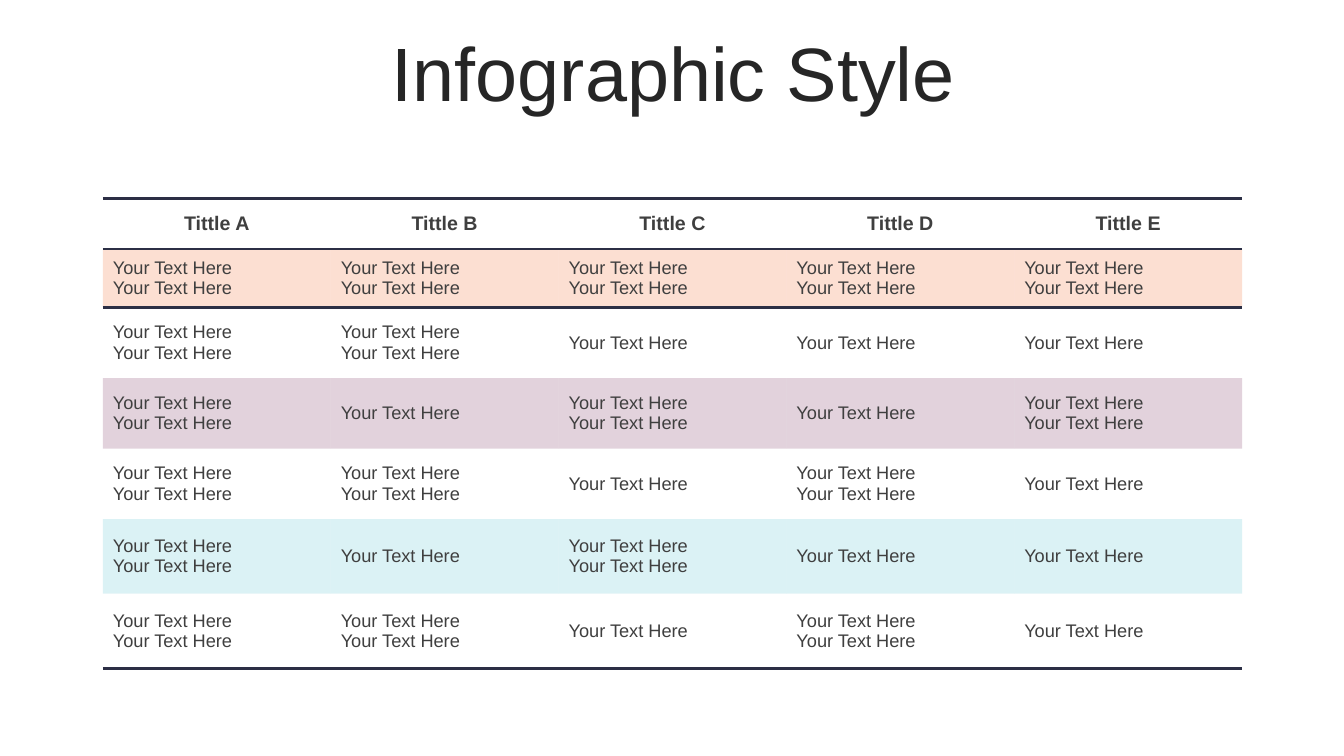
from lxml.etree import SubElement
from pptx import Presentation
from pptx.dml.color import RGBColor
from pptx.enum.text import MSO_ANCHOR, MSO_AUTO_SIZE, PP_ALIGN
from pptx.oxml import parse_xml
from pptx.oxml.ns import nsdecls, qn
from pptx.util import Inches, Pt

FONT = "Arial"
INK, TEXT, RULE = "262626", "3F3F3F", "2C2F45"
HEADERS = [f"Tittle {letter}" for letter in "ABCDE"]
ENTRY = "Your Text Here"
# Each body row: height, tint, number of lines in each cell
BODY = [
    (0.58, "F26122", (2, 2, 2, 2, 2)),
    (0.7, None, (2, 2, 1, 1, 1)),
    (0.7, "6F1F51", (2, 1, 2, 1, 2)),
    (0.7, None, (2, 2, 1, 2, 1)),
    (0.74, "4FC1CF", (2, 1, 2, 1, 1)),
    (0.74, "FFFFFF", (2, 2, 1, 2, 1)),
]
HEADER_HEIGHT, COLUMN_WIDTH = 0.5, 2.26
RULED_EDGES = {0, 1, 2, len(BODY) + 1}


def rgb(color):
    return RGBColor.from_string(color)


def format_paragraph(p, size, color, align, bold=False):
    p.alignment = align
    p.font.name, p.font.size, p.font.bold = FONT, Pt(size), bold
    p.font.color.rgb = rgb(color)


def add_title(slide, text):
    title = slide.shapes.title
    title.left, title.top = Inches(0.35), Inches(0.37)
    title.width, title.height = Inches(12.66), Inches(0.79)
    tf = title.text_frame
    tf.text = text
    tf.auto_size, tf.vertical_anchor = MSO_AUTO_SIZE.NONE, MSO_ANCHOR.MIDDLE
    p = tf.paragraphs[0]
    p.line_spacing = 0.9
    format_paragraph(p, 54, INK, PP_ALIGN.CENTER)


def set_tint(cell, color):
    """Fill the cell with a color at 20% opacity, or with nothing."""
    if color is None:
        cell.fill.background()
        return
    cell.fill.solid()
    cell.fill.fore_color.rgb = rgb(color)
    clr = cell.fill._xPr.find(qn("a:solidFill"))[0]
    SubElement(clr, qn("a:alpha"), val="20000")


def set_borders(cell, row):
    """Rule the cell's top and bottom where its row meets a ruled edge."""
    ruled = {"T": row in RULED_EDGES, "B": row + 1 in RULED_EDGES}
    tc_pr = cell._tc.get_or_add_tcPr()
    for position, side in enumerate("LRTB"):
        if ruled.get(side):
            width = Pt(2.25)
            fill = f'<a:solidFill><a:srgbClr val="{RULE}"/></a:solidFill>'
        else:
            width, fill = 0, "<a:noFill/>"
        line = f'<a:ln{side} {nsdecls("a")} w="{width}">{fill}</a:ln{side}>'
        tc_pr.insert(position, parse_xml(line))


def fill_cell(cell, row, text, tint, size, align, bold=False):
    cell.text = text
    cell.vertical_anchor = MSO_ANCHOR.MIDDLE
    for p in cell.text_frame.paragraphs:
        format_paragraph(p, size, TEXT, align, bold)
    set_tint(cell, tint)
    set_borders(cell, row)


def add_infographic_table(slide):
    heights = [HEADER_HEIGHT] + [height for height, _, _ in BODY]
    table = slide.shapes.add_table(
        len(heights), len(HEADERS), Inches(1.02), Inches(1.97),
        Inches(COLUMN_WIDTH * len(HEADERS)), Inches(sum(heights))).table
    table.first_row = table.horz_banding = False
    for column in table.columns:
        column.width = Inches(COLUMN_WIDTH)
    for table_row, height in zip(table.rows, heights):
        table_row.height = Inches(height)
    for col, header in enumerate(HEADERS):
        fill_cell(table.cell(0, col), 0, header, None, 14, PP_ALIGN.CENTER, True)
    for row, (_, tint, line_counts) in enumerate(BODY, 1):
        for col, count in enumerate(line_counts):
            text = "\n".join([ENTRY] * count)
            fill_cell(table.cell(row, col), row, text, tint, 13, PP_ALIGN.LEFT)


def main():
    prs = Presentation()
    prs.slide_width, prs.slide_height = Inches(13.33), Inches(7.5)
    slide = prs.slides.add_slide(prs.slide_layouts[5])
    add_title(slide, "Infographic Style")
    add_infographic_table(slide)
    prs.save("out.pptx")


if __name__ == "__main__":
    main()
